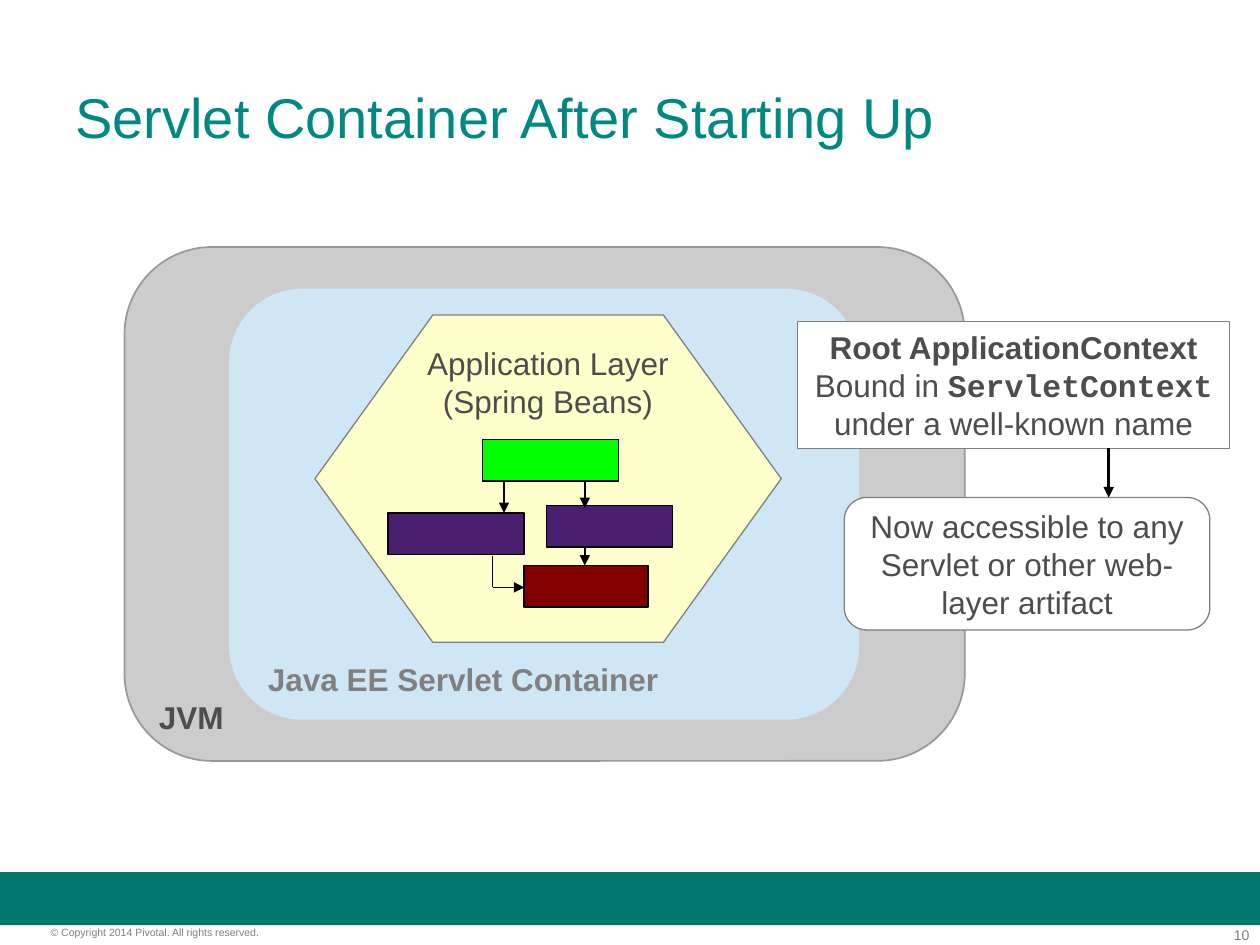
from dataclasses import dataclass
from typing import NamedTuple, Optional

from lxml.etree import SubElement
from pptx import Presentation
from pptx.dml.color import RGBColor
from pptx.enum.shapes import MSO_CONNECTOR, MSO_SHAPE
from pptx.enum.text import MSO_ANCHOR, PP_ALIGN
from pptx.oxml.ns import qn
from pptx.util import Cm, Pt

BLACK, WHITE, GREY, DARK = "000000", "FFFFFF", "808080", "4D4D4D"
PURPLE = "4B1F6F"
BEAN_HEIGHT = 0.84
PADDING = (0.25, 0.13, 0.25, 0.13)


class Run(NamedTuple):
    text: str
    size: float = 18
    color: str = DARK
    bold: bool = False
    font: str = "Arial"


@dataclass
class Text:
    paragraphs: list[list[Run]]
    align: PP_ALIGN = PP_ALIGN.CENTER
    anchor: MSO_ANCHOR = MSO_ANCHOR.MIDDLE
    margins: tuple[float, float, float, float] = PADDING


@dataclass
class Box:
    at: tuple[float, float, float, float]
    fill: str
    line: Optional[str] = None
    width: float = 0
    kind: MSO_SHAPE = MSO_SHAPE.RECTANGLE
    adjust: tuple[float, ...] = ()
    text: Optional[Text] = None


class Label(NamedTuple):
    at: tuple[float, float, float, float]
    text: Text


class Arrow(NamedTuple):
    start: tuple[float, float]
    end: tuple[float, float]
    width: float = 0.75
    head: bool = True


def rgb(color: str) -> RGBColor:
    return RGBColor.from_string(color)


def write(tf, text: Text) -> None:
    tf.word_wrap = True
    tf.vertical_anchor = text.anchor
    (tf.margin_left, tf.margin_top,
     tf.margin_right, tf.margin_bottom) = map(Cm, text.margins)
    for i, runs in enumerate(text.paragraphs):
        p = tf.paragraphs[0] if i == 0 else tf.add_paragraph()
        p.alignment = text.align
        for run in runs:
            if run.text == "\n":
                p.add_line_break()
                continue
            r = p.add_run()
            r.text = run.text
            r.font.name = run.font
            r.font.size = Pt(run.size)
            r.font.bold = run.bold
            r.font.color.rgb = rgb(run.color)


def draw_box(s, box: Box) -> None:
    sp = s.shapes.add_shape(box.kind, *map(Cm, box.at))
    sp.shadow.inherit = False
    for i, value in enumerate(box.adjust):
        sp.adjustments[i] = value
    sp.fill.solid()
    sp.fill.fore_color.rgb = rgb(box.fill)
    if box.line:
        sp.line.color.rgb = rgb(box.line)
        sp.line.width = Pt(box.width)
    else:
        sp.line.fill.background()
    if box.text:
        write(sp.text_frame, box.text)


def draw_label(s, label: Label) -> None:
    sp = s.shapes.add_textbox(*map(Cm, label.at))
    write(sp.text_frame, label.text)


def draw_arrow(s, arrow: Arrow) -> None:
    sp = s.shapes.add_connector(
        MSO_CONNECTOR.STRAIGHT, *map(Cm, arrow.start + arrow.end))
    sp.line.color.rgb = rgb(BLACK)
    sp.line.width = Pt(arrow.width)
    if arrow.head:
        SubElement(sp.line._get_or_add_ln(), qn("a:tailEnd"), type="triangle")
    SubElement(sp._element.spPr, qn("a:effectLst"))


def bean(left: float, top: float, width: float, fill: str) -> Box:
    return Box((left, top, width, BEAN_HEIGHT), fill, BLACK, 1)


def layer_name(name: str, color: str, indent: float) -> Text:
    return Text([[Run(name, color=color, bold=True)]], PP_ALIGN.LEFT,
                MSO_ANCHOR.BOTTOM, (indent, 0, 0, 0))


def footer(text: str, size: float, align: PP_ALIGN) -> Text:
    return Text([[Run(text, size, "7F7F7F")]], align, MSO_ANCHOR.TOP, (0, 0, 0, 0))


ROUND = {"kind": MSO_SHAPE.ROUNDED_RECTANGLE, "adjust": (0.17,)}

CONTEXT = Text([
    [Run("Root ApplicationContext", bold=True)],
    [Run("Bound in "), Run("ServletContext", bold=True, font="Courier New")],
    [Run("under a well-known name")],
])
ACCESS = Text([[Run("Now accessible to any Servlet or other web-layer artifact")]])
LAYER = Text([[Run("Application Layer"), Run("\n"), Run("(Spring Beans)")]],
             anchor=MSO_ANCHOR.TOP)
TITLE = Text([[Run("Servlet Container After Starting Up", 32, "008881")]],
             PP_ALIGN.LEFT)

ITEMS = [
    Box((0, 17.58, 25.4, 1.07), "00786E"),
    Label((23.72, 18.67, 1.47, 0.33), footer("10", 8, PP_ALIGN.RIGHT)),
    Label((1.02, 18.67, 6.32, 0.25),
          footer("© Copyright 2014 Pivotal. All rights reserved.", 6, PP_ALIGN.LEFT)),
    Box((2.51, 4.98, 16.94, 10.36), "CCCCCC", "999999", 1,
        text=layer_name("JVM", DARK, 0.18), **ROUND),
    Box((4.62, 5.82, 12.7, 8.69), "CFE7F5",
        text=layer_name("Java EE Servlet Container", GREY, 0.35), **ROUND),
    Box((6.35, 6.35, 9.4, 6.6), "FFFFCC", GREY,
        kind=MSO_SHAPE.HEXAGON, adjust=(0.36,)),
    Label((1.27, 0.76, 22.86, 3.18), TITLE),
    Label((7.16, 6.81, 7.77, 1.78), LAYER),
    bean(7.82, 10.34, 2.74, PURPLE),
    bean(10.57, 11.4, 2.49, "800000"),
    Arrow((11.79, 11.02), (11.79, 11.4)),
    Arrow((10.16, 9.7), (10.16, 10.34)),
    Arrow((9.93, 11.84), (10.57, 11.84)),
    Arrow((9.93, 11.84), (9.93, 11.2), head=False),
    Box((16.08, 6.48, 8.71, 2.57), WHITE, GREY, text=CONTEXT),
    Box((17.02, 10.03, 7.37, 2.67), WHITE, GREY, text=ACCESS, **ROUND),
    bean(11.02, 10.19, 2.54, PURPLE),
    Arrow((11.79, 9.6), (11.79, 10.24)),
    bean(9.73, 8.86, 2.74, "00FF00"),
    Arrow((22.35, 9.04), (22.35, 10.03), 0),
]

DRAW = {Box: draw_box, Label: draw_label, Arrow: draw_arrow}


def main() -> None:
    prs = Presentation()
    prs.slide_width, prs.slide_height = Cm(25.4), Cm(19.05)
    s = prs.slides.add_slide(prs.slide_layouts[6])
    for item in ITEMS:
        DRAW[type(item)](s, item)
    prs.save("out.pptx")


if __name__ == "__main__":
    main()
